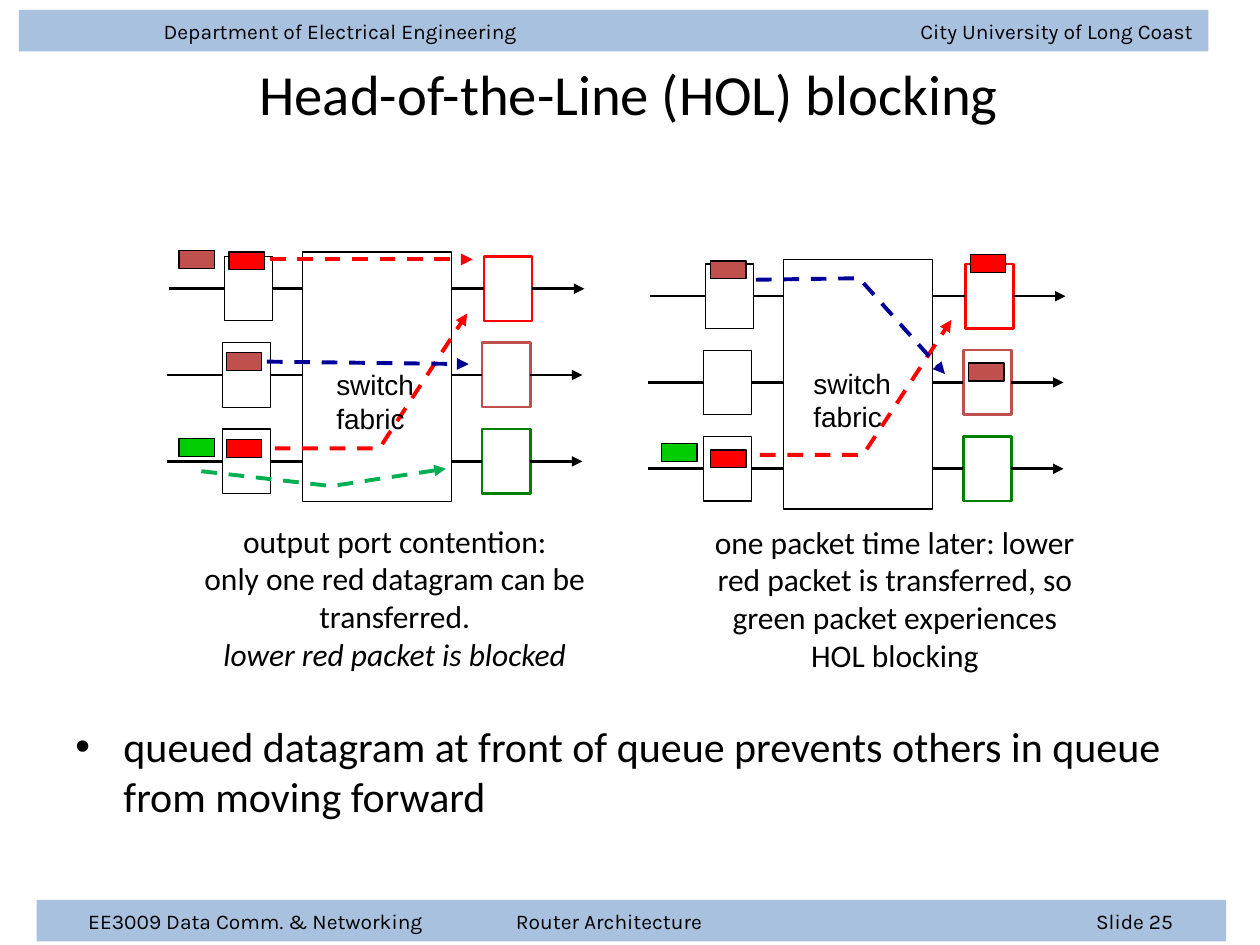
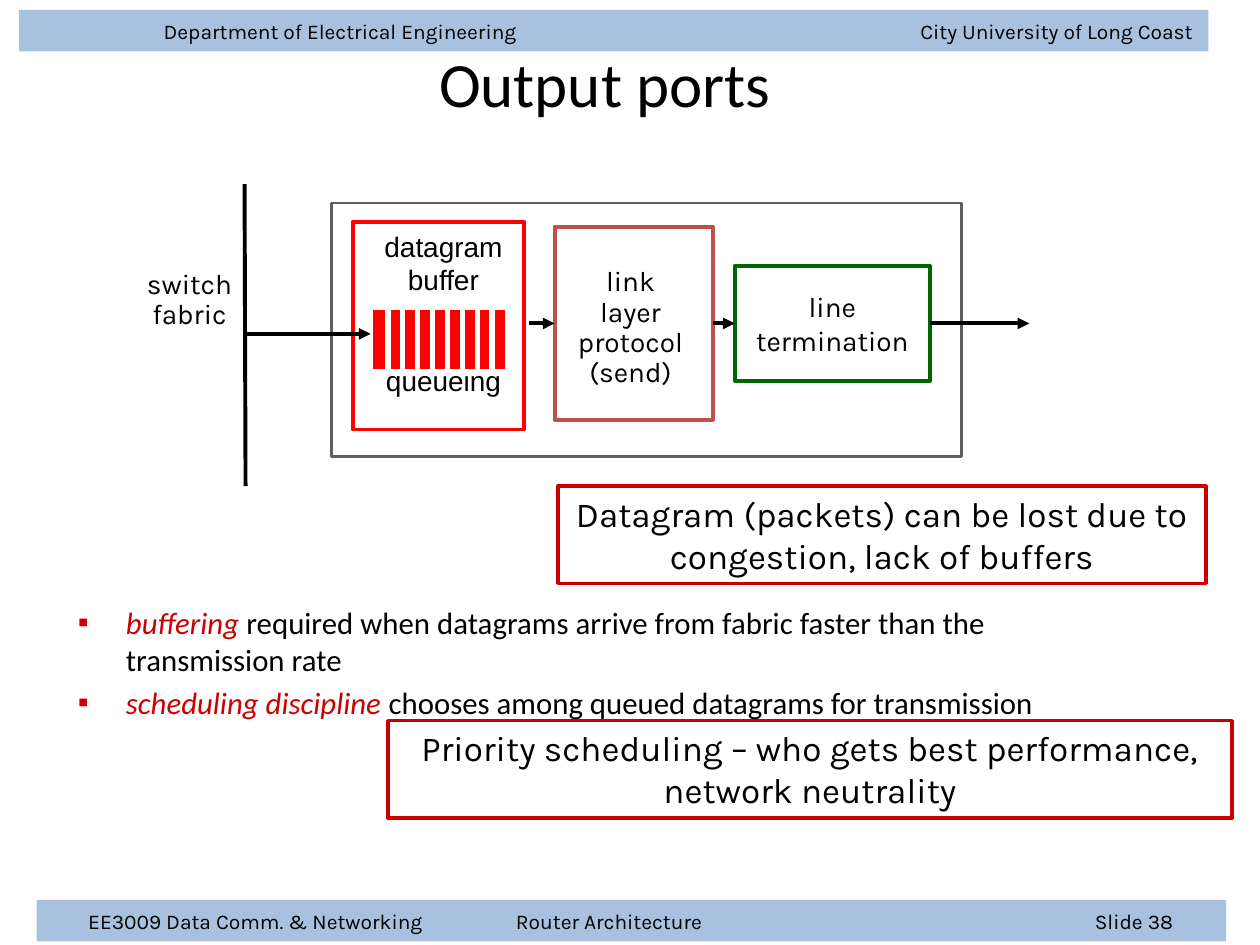
from lxml import etree
from pptx import Presentation
from pptx.dml.color import RGBColor
from pptx.enum.dml import MSO_LINE
from pptx.enum.shapes import MSO_CONNECTOR, MSO_SHAPE
from pptx.enum.text import MSO_ANCHOR, PP_ALIGN
from pptx.oxml.ns import qn
from pptx.util import Cm, Pt

STRAIGHT, RECT, DASH = MSO_CONNECTOR.STRAIGHT, MSO_SHAPE.RECTANGLE, MSO_LINE.DASH
LEFT, CENTER = PP_ALIGN.LEFT, PP_ALIGN.CENTER
TOP, MIDDLE = MSO_ANCHOR.TOP, MSO_ANCHOR.MIDDLE
SITE_LEFT, SITE_RIGHT = 1, 3

COLORS = {
    "black": "000000", "white": "FFFFFF", "band": "4F81BD", "gray": "5F5F5F",
    "red": "FF0000", "crimson": "CC0000", "brick": "C0504D", "navy": "000099",
    "lime": "00CC00", "green": "008000", "forest": "006600", "emerald": "00B050",
}
HEADING, BODY, LABEL = "Karla", "Calibri", "Arial"

HEADER = ["Department of Electrical Engineering", "City University of Long Coast"]
FOOTER = ["EE3009 Data Comm. & Networking", "Router Architecture"]
HEADER_TABS = [(20.75, "r")]
FOOTER_TABS = [(8.62, "l"), (21.87, "r")]

HOL_TITLE = "Head-of-the-Line (HOL) blocking"
HOL_POINTS = [["queued datagram at front of queue prevents others in queue "
               "from moving forward"]]
FABRIC_LABEL = [["switch"], ["fabric"]]
PORT_COLORS = ["red", "brick", "green"]
ROW_SHIFTS = [0.04, 0, 0]
ROW_PITCH = 1.74
SWITCHES = [
    {
        "offset": (0, 0),
        "label": (6.53, 7.29, 2.08, 1.63),
        "packets": [("red", 4.62, 5.08), ("brick", 4.57, 7.11), ("red", 4.57, 8.86),
                    ("brick", 3.61, 5.05), ("lime", 3.61, 8.84)],
        "routes": [("red", [(5.44, 5.23), (9.53, 5.23)]),
                   ("red", [(5.54, 9.04), (7.65, 9.04), (9.42, 6.32)]),
                   ("navy", [(5.38, 7.29), (9.45, 7.34)]),
                   ("emerald", [(4.06, 9.5), (6.68, 9.8), (8.99, 9.45)])],
        "caption_at": (3.25, 10.39, 9.42, 3.3),
        "caption": [["output port contention:"],
                    ["only one red datagram can be transferred."],
                    [("lower red packet is blocked", "black", True)]],
    },
    {
        "offset": (9.7, 0.15),
        "label": (16.15, 7.26, 2.08, 1.63),
        "packets": [("red", 19.56, 5.13), ("brick", 14.33, 5.26), ("red", 14.33, 9.07),
                    ("lime", 13.34, 8.94), ("brick", 19.53, 7.32)],
        "routes": [("red", [(15.32, 9.17), (17.4, 9.17), (19.18, 6.45)]),
                   ("navy", [(15.24, 5.64), (17.32, 5.61), (19.05, 7.54)])],
        "caption_at": (14, 10.41, 8.08, 3.33),
        "caption": [["one packet time later: lower red packet is transferred, "
                     "so green packet experiences HOL blocking"]],
    },
]

OUTPUT_TITLE = "Output ports"
OUTPUT_POINTS = [
    [("buffering", "crimson", True),
     " required when datagrams arrive from fabric faster than the transmission rate"],
    [("scheduling discipline", "crimson", True),
     " chooses among queued datagrams for transmission"],
]
TERMINATION = [["line"], ["termination"]]
LINK_LAYER = [["link"], ["layer"], ["protocol"], ["(send)"]]
BUFFER = [["datagram"], ["buffer"], ["queueing"]]
NOTES = [
    ((11.25, 9.8, 13.06, 1.96),
     "Datagram (packets) can be lost due to congestion, lack of buffers"),
    ((7.82, 14.53, 17.02, 1.96),
     "Priority scheduling – who gets best performance, network neutrality"),
]
QUEUE_GAPS = 8


def rgb(name):
    return RGBColor.from_string(COLORS[name])


def write(shape, paras, size, font, align=CENTER, anchor=TOP, wrap=True, spacing=None):
    tf = shape.text_frame
    tf.word_wrap = wrap
    tf.vertical_anchor = anchor
    for i, runs in enumerate(paras):
        p = tf.add_paragraph() if i else tf.paragraphs[0]
        p.alignment = align
        p.line_spacing = spacing
        for run in runs:
            text, color, italic = (run, "black", False) if isinstance(run, str) else run
            r = p.add_run()
            r.text = text
            r.font.size = Pt(size)
            r.font.name = font
            r.font.italic = italic
            r.font.color.rgb = rgb(color)
    return tf


def text_box(s, at, paras, size, font, **style):
    return write(s.shapes.add_textbox(*map(Cm, at)), paras, size, font, **style)


def box(s, at, fill="white", line=None, width=0.75):
    sp = s.shapes.add_shape(RECT, *map(Cm, at))
    sp.shadow.inherit = False
    sp.fill.solid()
    sp.fill.fore_color.rgb = rgb(fill)
    if line:
        sp.line.color.rgb = rgb(line)
        sp.line.width = Pt(width)
    else:
        sp.line.fill.background()
    return sp


def style_line(line, color, width, dashed, arrow):
    line.color.rgb = rgb(color)
    line.width = Pt(width)
    if dashed:
        line.dash_style = DASH
    if arrow:
        ln = line.fill._xPr
        etree.SubElement(ln, qn("a:tailEnd"), type="triangle")


def connect(s, start, end, color="black", width=1.5, dashed=False, arrow=False,
            begin=None, finish=None):
    cn = s.shapes.add_connector(STRAIGHT, *map(Cm, start + end))
    if begin:
        cn.begin_connect(begin, SITE_RIGHT)
    if finish:
        cn.end_connect(finish, SITE_LEFT)
    style_line(cn.line, color, width, dashed, arrow)
    etree.SubElement(cn._element.spPr, qn("a:effectLst"))


def route(s, color, points):
    if len(points) == 2:
        connect(s, *points, color=color, width=2.25, dashed=True, arrow=True)
        return
    pts = [(Cm(x), Cm(y)) for x, y in points]
    builder = s.shapes.build_freeform(*pts[0])
    builder.add_line_segments(pts[1:], close=False)
    sp = builder.convert_to_shape()
    sp.shadow.inherit = False
    sp.fill.background()
    style_line(sp.line, color, 2.25, True, True)


def band(s, left, top, inset, parts, tabs):
    sp = box(s, (left, top, 23.98, 0.84), "band")
    color = sp.fill._xPr.find(qn("a:solidFill"))[0]
    etree.SubElement(color, qn("a:alpha"), val="49000")
    tf = write(sp, [["\t".join(parts)]], 12, HEADING, align=LEFT, anchor=MIDDLE)
    tf.margin_left = Cm(inset)
    tab_list = etree.SubElement(tf.paragraphs[0]._p.get_or_add_pPr(), qn("a:tabLst"))
    for pos, align in tabs:
        etree.SubElement(tab_list, qn("a:tab"), pos=str(Cm(pos)), algn=align)


def bullets(s, at, paras, size, mark, color):
    tf = text_box(s, at, paras, size, BODY, align=LEFT)
    for p in tf.paragraphs:
        p.space_before = Pt(round(size * 0.2, 1))
        pPr = p._p.get_or_add_pPr()
        pPr.set("marL", str(Cm(0.97)))
        pPr.set("indent", str(-Cm(0.97)))
        clr = etree.SubElement(pPr, qn("a:buClr"))
        etree.SubElement(clr, qn("a:srgbClr"), val=COLORS[color])
        etree.SubElement(pPr, qn("a:buFont"), typeface=LABEL)
        etree.SubElement(pPr, qn("a:buChar"), char=mark)


def new_slide(prs, number, title, title_at, title_size):
    s = prs.slides.add_slide(prs.slide_layouts[6])
    band(s, 0.38, 0.2, 2.92, HEADER, HEADER_TABS)
    band(s, 0.74, 18.14, 1.04, FOOTER + [f"Slide {number}"], FOOTER_TABS)
    text_box(s, title_at, [[title]], title_size, BODY, anchor=MIDDLE)
    return s


def draw_switch(s, switch):
    dx, dy = switch["offset"]
    box(s, (6.1 + dx, 5.08 + dy, 3, 5.03), line="black")
    for row, (color, shift) in enumerate(zip(PORT_COLORS, ROW_SHIFTS)):
        x, y = dx + shift, 5.17 + dy + row * ROW_PITCH
        mid = y + 0.65
        inlet = box(s, (4.48 + x, y, 0.97, 1.3), line="black")
        outlet = box(s, (9.72 + x, y, 0.97, 1.3), line=color, width=1.5)
        connect(s, (3.36 + x, mid), (4.48 + x, mid), finish=inlet)
        connect(s, (5.45 + x, mid), (6.1 + dx, mid), begin=inlet)
        connect(s, (9.1 + dx, mid), (9.72 + x, mid), finish=outlet)
        connect(s, (10.69 + x, mid), (11.74 + x, mid), begin=outlet, arrow=True)
    for color, x, y in switch["packets"]:
        box(s, (x, y, 0.71, 0.36), color, "black")
    for color, points in switch["routes"]:
        route(s, color, points)
    text_box(s, switch["label"], FABRIC_LABEL, 16, LABEL, align=LEFT, wrap=False)
    text_box(s, switch["caption_at"], switch["caption"], 18, BODY)


def hol_slide(prs):
    s = new_slide(prs, 25, HOL_TITLE, (1.88, 1.24, 21.59, 1.27), 32.4)
    bullets(s, (1.27, 14.4, 22.5, 2.31), HOL_POINTS, 24, "•", "black")
    for switch in SWITCHES:
        draw_switch(s, switch)


def output_slide(prs):
    s = new_slide(prs, 38, OUTPUT_TITLE, (1.4, 0.71, 21.59, 1.9), 36)
    bullets(s, (1.32, 12.04, 21.59, 2.54), OUTPUT_POINTS, 17.6, "▪", "crimson")
    box(s, (6.68, 4.09, 12.7, 5.11), line="gray", width=1.5)

    termination = box(s, (14.81, 5.36, 3.94, 2.32), line="forest", width=2.25)
    write(termination, TERMINATION, 16, HEADING, anchor=MIDDLE, wrap=False)
    link = box(s, (11.18, 4.58, 3.2, 3.88), line="brick", width=2.25)
    for at, label in [((11.25, 5.46, 2.92, 2.31), LINK_LAYER),
                      ((2.36, 4.9, 2.92, 2.31), FABRIC_LABEL)]:
        write(box(s, at), label, 16, HEADING, anchor=MIDDLE, wrap=False, spacing=0.9)

    flow = {"width": 2.25, "arrow": True}
    connect(s, (10.67, 6.52), (11.18, 6.52), finish=link, **flow)
    connect(s, (14.38, 6.52), (14.81, 6.52), begin=link, finish=termination, **flow)
    connect(s, (18.75, 6.52), (20.75, 6.52), begin=termination, **flow)

    box(s, (7.11, 4.47, 3.45, 4.19), line="red", width=2.25)
    tf = text_box(s, (7.34, 4.5, 3.2, 4.06), BUFFER, 16, LABEL, wrap=False)
    tf.paragraphs[-1].space_before = Pt(38)
    box(s, (7.47, 6.2, 2.77, 1.3), "red", "white", 3)
    for i in range(QUEUE_GAPS):
        x = 7.82 + 0.3 * i
        connect(s, (x, 6.22), (x, 7.47), color="white", width=3)

    connect(s, (4.93, 3.71), (4.95, 9.8), width=2.25)
    connect(s, (4.9, 6.73), (7.47, 6.73), **flow)
    for at, note in NOTES:
        write(box(s, at, line="crimson", width=2), [[note]], 20, HEADING)


def main():
    prs = Presentation()
    prs.slide_width, prs.slide_height = Cm(25.4), Cm(19.05)
    hol_slide(prs)
    output_slide(prs)
    prs.save("out.pptx")


if __name__ == "__main__":
    main()
